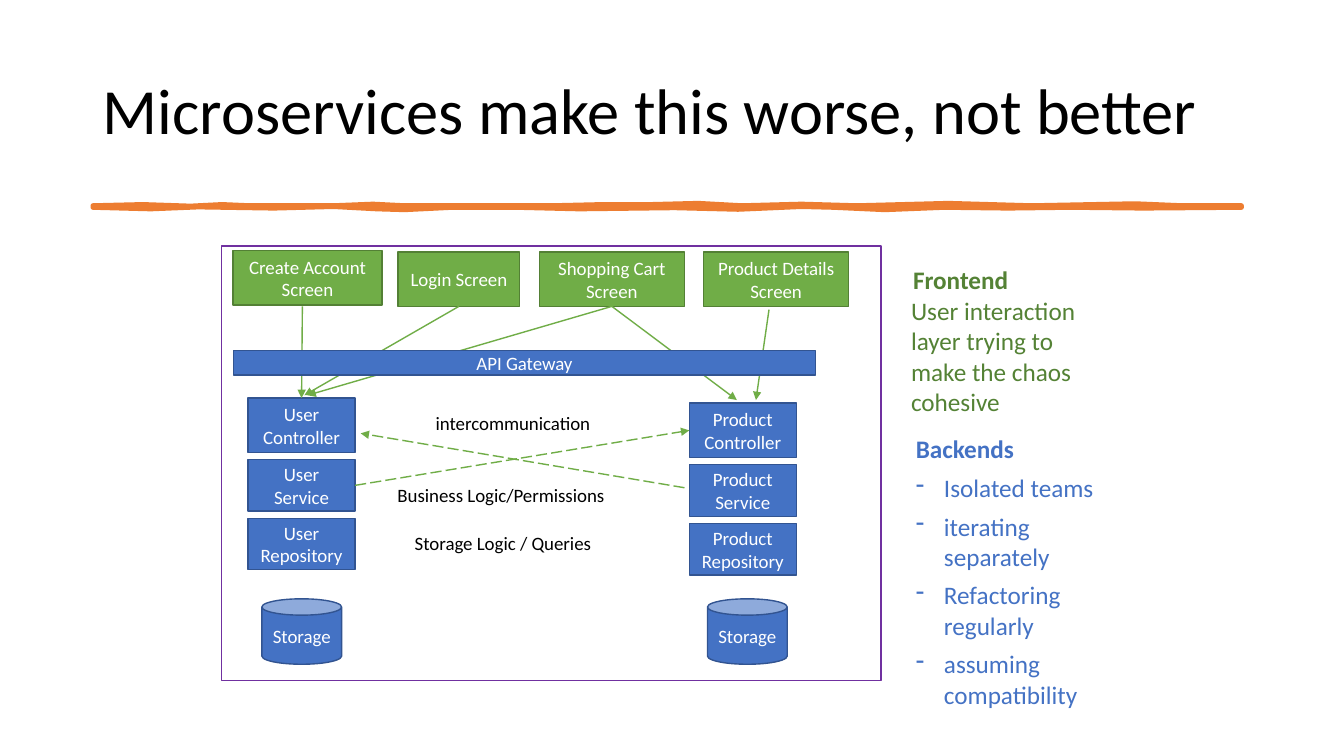
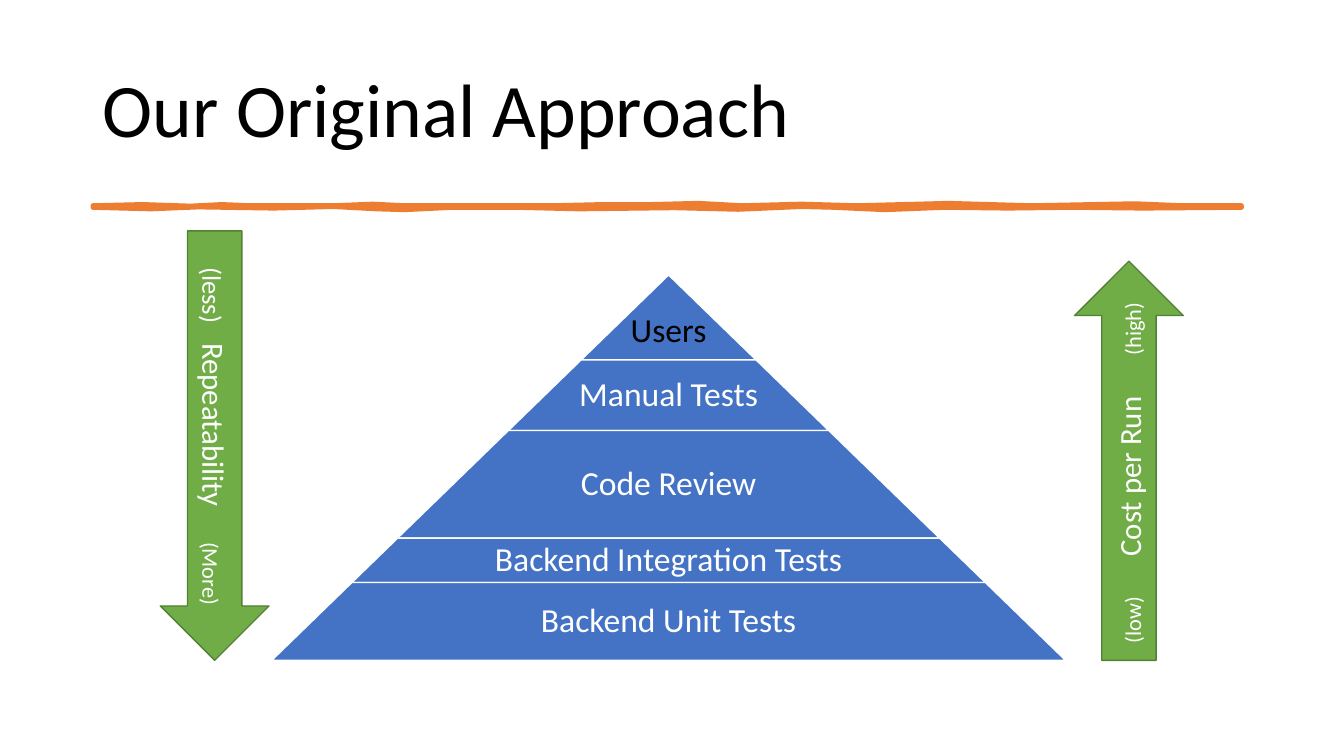
from dataclasses import dataclass
from typing import NamedTuple

import pptx
import pptx.dml.color
import pptx.enum.dml
import pptx.enum.shapes
import pptx.enum.text
import pptx.oxml.ns
import pptx.util
from lxml import etree

Cm, Pt = pptx.util.Cm, pptx.util.Pt
RGB = pptx.dml.color.RGBColor.from_string
Shape = pptx.enum.shapes.MSO_SHAPE
Align = pptx.enum.text.PP_ALIGN
Anchor = pptx.enum.text.MSO_ANCHOR
TITLE_ONLY = 5
TOP, LEFT, BOTTOM, RIGHT = range(4)


@dataclass(frozen=True)
class Theme:
    font: str = "Calibri"
    black: str = "000000"
    white: str = "FFFFFF"
    blue: str = "4472C4"
    blue_edge: str = "325491"
    green: str = "70AD47"
    green_edge: str = "538035"
    green_text: str = "548235"
    orange: str = "ED7D31"
    purple: str = "7030A0"
    title: float = 54
    long_title: float = 46
    level: float = 24
    axis: float = 22
    note: float = 18
    axis_end_large: float = 19
    axis_end: float = 16
    label: float = 13.5


class Joint(NamedTuple):
    """A connection site on a shape."""
    shape: object
    site: int


def add_element(parent, tag, **attributes):
    return etree.SubElement(parent, pptx.oxml.ns.qn(tag), **attributes)


def line_element(shape):
    return shape._element.spPr.find(pptx.oxml.ns.qn("a:ln"))


class SlideBuilder:
    # Upper and lower edges of the brush stroke, in centimetres.
    STROKE_UPPER = [(2.34, 5.18), (3.6, 5.15), (4.8, 5.19), (5.6, 5.15), (6.3, 5.18),
                    (8.4, 5.18), (9.4, 5.14), (10.2, 5.18), (13.9, 5.18), (15.2, 5.15),
                    (16.4, 5.15), (17.6, 5.12), (18.7, 5.18), (20.2, 5.14), (21.6, 5.18),
                    (23.9, 5.12), (26, 5.18), (28.6, 5.13), (29.8, 5.18), (31.29, 5.18)]
    STROKE_LOWER = [(31.29, 5.23), (28.8, 5.25), (27, 5.23), (25.4, 5.25), (23.8, 5.23),
                    (22.3, 5.29), (21, 5.23), (20.2, 5.21), (18.6, 5.28), (17, 5.24),
                    (14.6, 5.27), (13, 5.23), (11.4, 5.23), (10.2, 5.29), (9.5, 5.27),
                    (8.4, 5.21), (6.9, 5.25), (5, 5.22), (3.8, 5.27), (2.34, 5.23)]

    def __init__(self, deck, theme):
        self.deck = deck
        self.theme = theme
        self.page = None

    def start(self, title, size):
        """Add a slide with its title and brush stroke."""
        self.page = self.deck.slides.add_slide(self.deck.slide_layouts[TITLE_ONLY])
        box = self.page.shapes.title
        box.left, box.top, box.width, box.height = Cm(2.34), Cm(1.02), Cm(29.21), Cm(3.68)
        frame = box.text_frame
        frame.auto_size = pptx.enum.text.MSO_AUTO_SIZE.NONE
        frame.vertical_anchor = Anchor.MIDDLE
        para = frame.paragraphs[0]
        para.text = title
        para.line_spacing = 0.9
        self.style(para, size, self.theme.black, Align.LEFT, after=0)
        self.brush_stroke()

    def brush_stroke(self):
        outline = [(Cm(x), Cm(y)) for x, y in self.STROKE_UPPER + self.STROKE_LOWER]
        builder = self.page.shapes.build_freeform(*outline[0])
        builder.add_line_segments(outline[1:], close=True)
        stroke = builder.convert_to_shape()
        self.paint(stroke, self.theme.orange, self.theme.orange, 3.25)
        add_element(line_element(stroke), "a:round")

    def paint(self, shape, fill, edge, weight=1):
        shape.shadow.inherit = False
        shape.fill.solid()
        shape.fill.fore_color.rgb = RGB(fill)
        shape.line.color.rgb = RGB(edge)
        shape.line.width = Pt(weight)

    def style(self, para, size, color, align=Align.CENTER, bold=False, after=6):
        para.alignment = align
        para.space_after = Pt(after)
        font = para.font
        font.name, font.size, font.bold = self.theme.font, Pt(size), bold
        font.color.rgb = RGB(color)

    def shape(self, kind, left, top, width, height, fill, edge, text=""):
        shape = self.page.shapes.add_shape(kind, Cm(left), Cm(top), Cm(width), Cm(height))
        self.paint(shape, fill, edge)
        if text:
            shape.text_frame.vertical_anchor = Anchor.MIDDLE
            para = shape.text_frame.paragraphs[0]
            para.text = text
            self.style(para, self.theme.label, self.theme.white)
        return shape

    def blue(self, text, left, top, width, height, kind=Shape.RECTANGLE):
        return self.shape(kind, left, top, width, height,
                          self.theme.blue, self.theme.blue_edge, text)

    def green(self, text, left, top, width, height, kind=Shape.RECTANGLE):
        return self.shape(kind, left, top, width, height,
                          self.theme.green, self.theme.green_edge, text)

    def text(self, lines, left, top, width, height, size, color,
             align=Align.LEFT, heading=False, wrap=True):
        """Add a text box; lines after the first are dashed list items."""
        box = self.page.shapes.add_textbox(Cm(left), Cm(top), Cm(width), Cm(height))
        frame = box.text_frame
        frame.word_wrap = wrap
        for index, line in enumerate(lines):
            para = frame.add_paragraph() if index else frame.paragraphs[0]
            para.text = line
            if index:
                properties = para._p.get_or_add_pPr()
                properties.set("marL", str(Cm(0.71)))
                properties.set("indent", str(-Cm(0.71)))
                add_element(properties, "a:buChar", char="-")
            self.style(para, size, color, align, bold=heading and not index)

    def label(self, text, left, top):
        self.text([text], left, top, 5.79, 0.84, self.theme.label, self.theme.black,
                  Align.CENTER)

    def arrow(self, start, end, dashed=False):
        """Draw an arrow; each end is an (x, y) point or a Joint."""
        points = [(0, 0) if isinstance(place, Joint) else place for place in (start, end)]
        line = self.page.shapes.add_connector(
            pptx.enum.shapes.MSO_CONNECTOR.STRAIGHT,
            *(Cm(value) for point in points for value in point))
        if isinstance(start, Joint):
            line.begin_connect(*start)
        if isinstance(end, Joint):
            line.end_connect(*end)
        line.line.color.rgb = RGB(self.theme.green)
        line.line.width = Pt(1)
        if dashed:
            line.line.dash_style = pptx.enum.dml.MSO_LINE.LONG_DASH
        add_element(line_element(line), "a:tailEnd", type="triangle")
        add_element(line._element.spPr, "a:effectLst")

    def pyramid(self, center, apex, slope, levels):
        """Stack (text, bottom, colour) levels under an apex; slope is half width per height."""
        top = apex
        for text, bottom, color in levels:
            width, height = 2 * slope * (bottom - apex), bottom - top
            level = self.shape(Shape.TRAPEZOID, center - width / 2, top, width, height,
                               self.theme.blue, self.theme.white, text)
            level.adjustments[0] = slope
            frame = level.text_frame
            frame.word_wrap = False
            frame.margin_top = frame.margin_bottom = 0
            if top > apex:
                # Balances the lowered text area of a trapezoid.
                frame.margin_bottom = Cm(2 * slope * height ** 2 / width / 3)
            para = frame.paragraphs[0]
            para.line_spacing = 0.9
            self.style(para, self.theme.level, color, after=0)
            top = bottom

    def axis_arrow(self, left, top, length, rotation, margin, parts, stops):
        """Add a turned block arrow with sized (text, size) parts set at tab stops."""
        arrow = self.green("", left, top, length, 2.74, Shape.RIGHT_ARROW)
        arrow.rotation = rotation
        frame = arrow.text_frame
        frame.vertical_anchor = Anchor.MIDDLE
        frame.margin_left, frame.margin_right = Cm(margin), 0
        para = frame.paragraphs[0]
        tabs = add_element(para._p.get_or_add_pPr(), "a:tabLst")
        for stop in stops:
            add_element(tabs, "a:tab", pos=str(Cm(stop)), algn="l")
        self.style(para, self.theme.axis, self.theme.white, Align.LEFT)
        for index, (text, size) in enumerate(parts):
            span = para.add_run()
            span.text = "\t" + text if index else text
            span.font.size = Pt(size)


def microservices_slide(slide):
    theme = slide.theme
    slide.start("Microservices make this worse, not better", theme.long_title)
    slide.shape(Shape.RECTANGLE, 5.59, 6.2, 16.61, 10.95, theme.white, theme.purple)

    slide.green("Create Account Screen", 5.87, 6.32, 3.76, 1.37)
    login, cart, _ = [
        slide.green(text, left, 6.35, width, 1.37)
        for text, left, width in [("Login Screen", 10.03, 3.07),
                                  ("Shopping Cart Screen", 13.59, 3.66),
                                  ("Product Details Screen", 17.73, 3.66)]]

    layers = [("Controller", 0, 1.37), ("Service", 1.55, 1.3), ("Repository", 3.03, 1.3)]
    backend = {}
    for domain, left, top, disk_left in [("User", 6.25, 10.03, 6.6),
                                         ("Product", 17.37, 10.16, 17.83)]:
        for layer, offset, height in layers:
            backend[domain, layer] = slide.blue(f"{domain} {layer}", left, top + offset,
                                                2.7, height)
        slide.blue("Storage", disk_left, 15.09, 2.01, 1.65, Shape.CAN)

    slide.arrow((7.62, 7.72), Joint(backend["User", "Controller"], TOP))
    slide.arrow(Joint(login, BOTTOM), (7.67, 9.96))
    slide.arrow(Joint(cart, BOTTOM), (7.75, 9.96))
    slide.arrow(Joint(cart, BOTTOM), (18.57, 10.08))
    slide.arrow((19.38, 7.8), (19.05, 10.08))
    slide.arrow(Joint(backend["User", "Service"], RIGHT),
                Joint(backend["Product", "Controller"], LEFT), dashed=True)
    slide.arrow((17.25, 12.29), (9.09, 10.92), dashed=True)
    slide.blue("API Gateway", 5.89, 8.84, 14.66, 0.61)

    slide.label("intercommunication", 10.03, 10.26)
    slide.label("Business Logic/Permissions", 9.73, 12.07)
    slide.label("Storage Logic / Queries", 9.78, 13.28)

    slide.text(["Frontend"], 22.76, 6.53, 2.92, 1.02, theme.note, theme.green_text,
               heading=True, wrap=False)
    slide.text(["User interaction layer trying to make the chaos cohesive"],
               22.71, 7.32, 5.56, 4.57, theme.note, theme.green_text)
    slide.text(["Backends", "Isolated teams", "iterating separately",
                "Refactoring regularly", "assuming compatibility"],
               22.83, 10.8, 5.44, 7.26, theme.note, theme.blue, heading=True)


def approach_slide(slide):
    theme = slide.theme
    slide.start("Our Original Approach", theme.title)
    slide.pyramid(16.85, 6.93, 1.03, [("Users", 9.07, theme.black),
                                      ("Manual Tests", 10.85, theme.white),
                                      ("Code Review", 13.56, theme.white),
                                      ("Backend Integration Tests", 14.68, theme.white),
                                      ("Backend Unit Tests", 16.64, theme.white)])
    slide.axis_arrow(23.42, 10.24, 10.06, 270, 0.43,
                     [("(low)", theme.axis_end), ("Cost per Run", theme.axis),
                      ("(high)", theme.axis_end)], [2.19, 7.26])
    slide.axis_arrow(0, 9.86, 10.82, 90, 0.91,
                     [("(less)", theme.axis_end_large), ("Repeatability", theme.axis),
                      ("(More)", theme.axis_end)], [1.92, 6.93])


def main():
    deck = pptx.Presentation()
    deck.slide_width, deck.slide_height = Cm(33.87), Cm(19.05)
    slide = SlideBuilder(deck, Theme())
    microservices_slide(slide)
    approach_slide(slide)
    deck.save("out.pptx")


if __name__ == "__main__":
    main()
